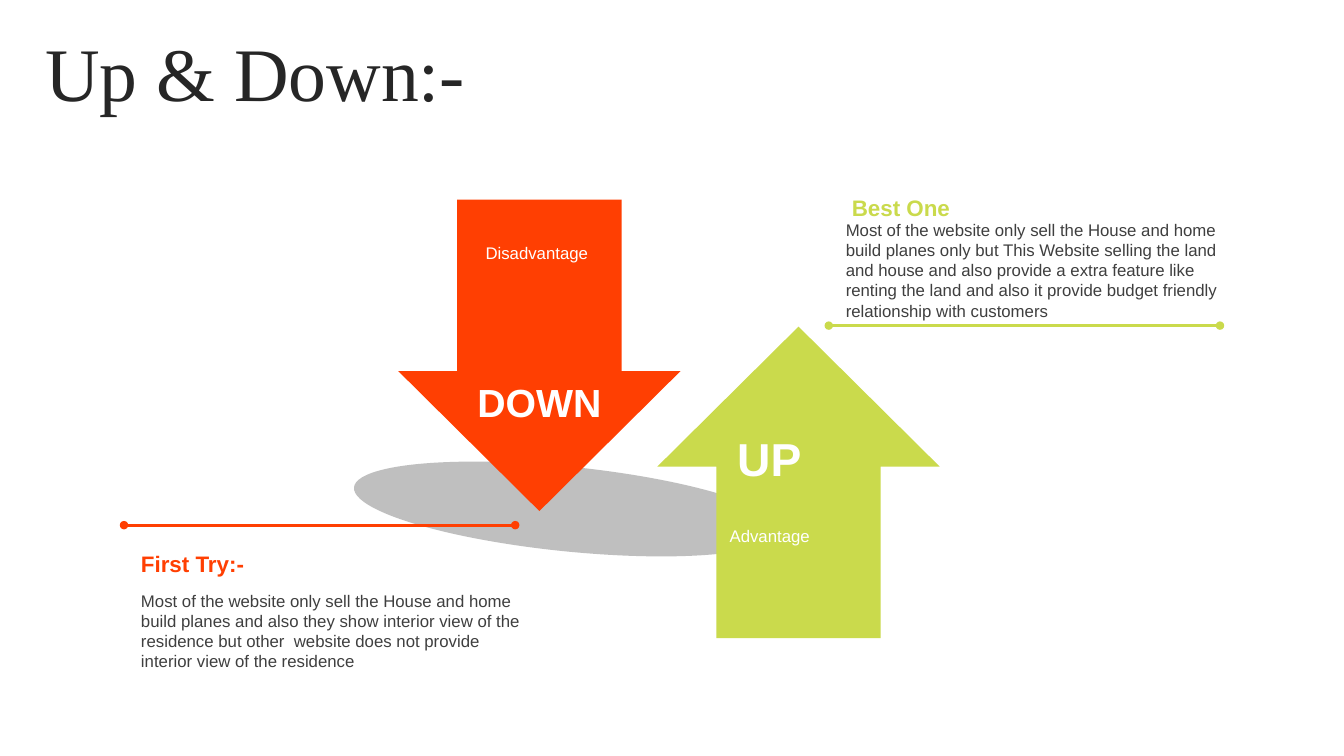
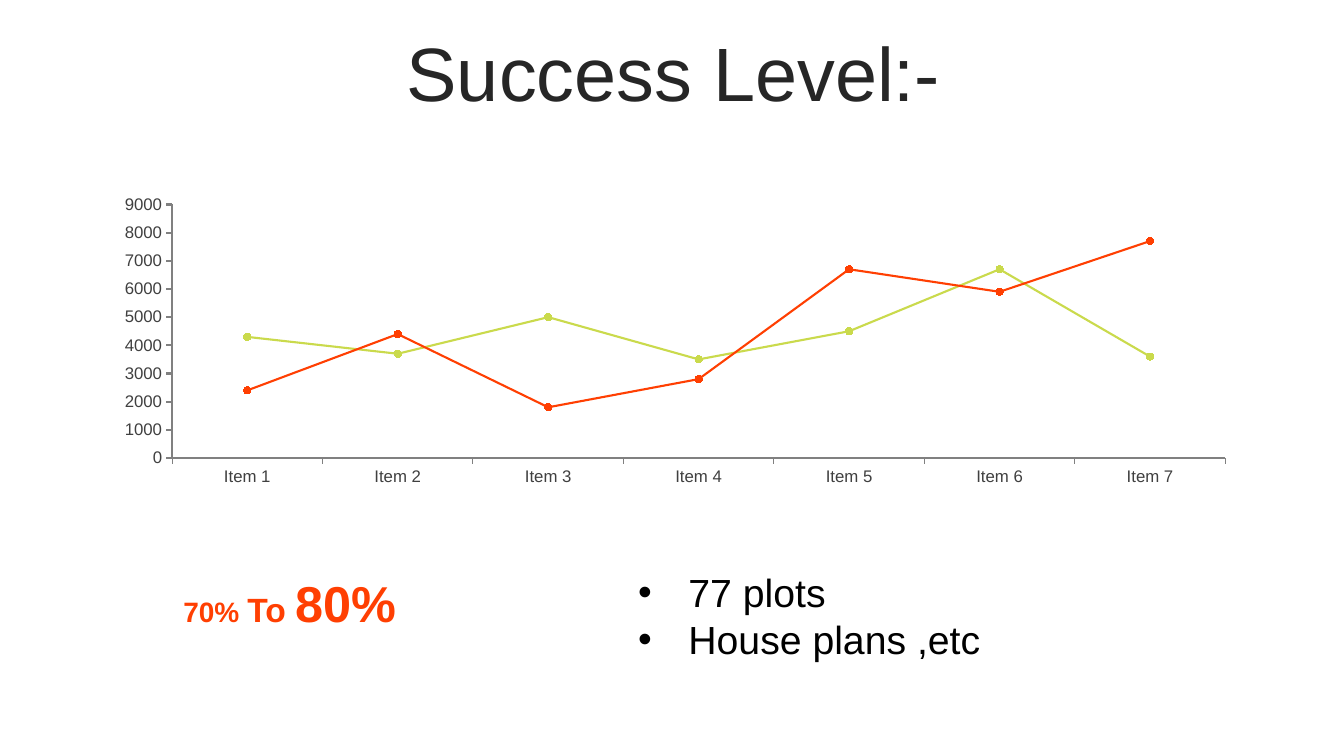
"""Build two slides: an up and down arrow comparison and a success level line chart."""
from lxml.etree import SubElement
from pptx import Presentation
from pptx.chart.data import CategoryChartData
from pptx.dml.color import RGBColor
from pptx.enum.chart import XL_CHART_TYPE, XL_MARKER_STYLE, XL_TICK_MARK
from pptx.enum.shapes import MSO_CONNECTOR, MSO_SHAPE
from pptx.enum.text import MSO_ANCHOR, PP_ALIGN
from pptx.oxml.ns import qn
from pptx.util import Inches, Pt

ORANGE, LIME, WHITE, BLACK = "FF3F02", "CADA4C", "FFFFFF", "000000"
DARK, BODY, AXIS_TEXT, AXIS_LINE, SHADE = "262626", "3F3F3F", "404040", "808080", "BFBFBF"

TITLE = {"size": 54, "color": DARK, "anchor": MSO_ANCHOR.MIDDLE, "line_spacing": 0.9}
HEADING = {"size": 16, "bold": True, "anchor": MSO_ANCHOR.MIDDLE}
LABEL = {"size": 12, "color": WHITE, "alignment": PP_ALIGN.CENTER, "margin": (0, 0)}
WORD = {**LABEL, "bold": True, "anchor": MSO_ANCHOR.MIDDLE}


def rgb(value):
    """Turn a hex string into a colour."""
    return RGBColor.from_string(value)


def add_text(slide, box, paragraphs, size, color, bold=False, font="Arial",
             anchor=MSO_ANCHOR.TOP, margin=(0.1, 0.05), **paragraph_format):
    """Add a text box; each paragraph is a string or a list of (text, size) runs."""
    frame = slide.shapes.add_textbox(*map(Inches, box)).text_frame
    across, down = map(Inches, margin)
    frame_format = {"word_wrap": True, "vertical_anchor": anchor,
                    "margin_left": across, "margin_right": across,
                    "margin_top": down, "margin_bottom": down}
    for name, value in frame_format.items():
        setattr(frame, name, value)
    for index, content in enumerate(paragraphs):
        paragraph = frame.add_paragraph() if index else frame.paragraphs[0]
        for name, value in paragraph_format.items():
            setattr(paragraph, name, value)
        runs = [(content, size)] if isinstance(content, str) else content
        for text, run_size in runs:
            run = paragraph.add_run()
            run.text = text
            run.font.color.rgb = rgb(color)
            for name, value in {"size": Pt(run_size), "name": font, "bold": bold}.items():
                setattr(run.font, name, value)
    return frame


presentation = Presentation()
presentation.slide_width, presentation.slide_height = Inches(13.33), Inches(7.5)

titles = [
    ("Up & Down:-", {"font": "Times New Roman"}),
    ("Success Level:-", {"alignment": PP_ALIGN.CENTER}),
]
slides = []
for title, title_format in titles:
    slide = presentation.slides.add_slide(presentation.slide_layouts[6])
    add_text(slide, (0.35, 0.37, 12.66, 0.79), [title], **TITLE, **title_format)
    slides.append(slide)
arrow_slide, chart_slide = slides

arrow_shapes = [
    (MSO_SHAPE.OVAL, (3.5, 4.63, 4.26, 0.84), SHADE, 5.8, ()),
    (MSO_SHAPE.UP_ARROW, (6.52, 3.24, 2.8, 3.09), LIME, 0, (0.582, 0.496)),
    (MSO_SHAPE.DOWN_ARROW, (3.95, 1.98, 2.8, 3.09), ORANGE, 0, (0.582, 0.496)),
]
for kind, box, color, rotation, adjustments in arrow_shapes:
    shape = arrow_slide.shapes.add_shape(kind, *map(Inches, box))
    shape.rotation = rotation
    shape.shadow.inherit = False
    shape.fill.solid()
    shape.fill.fore_color.rgb = rgb(color)
    shape.line.fill.background()
    for index, value in enumerate(adjustments):
        shape.adjustments[index] = value

arrow_texts = [
    ("DOWN", (4.55, 3.74, 1.6, 0.5), {**WORD, "size": 28}),
    ("UP", (7.13, 4.26, 1, 0.56), {**WORD, "size": 33}),
    ("Disadvantage", (4.79, 2.41, 1.07, 0.2), LABEL),
    ("Advantage", (7.1, 5.22, 1.07, 0.2), LABEL),
]
for text, box, text_format in arrow_texts:
    add_text(arrow_slide, box, [text], **text_format)

notes = [
    (LIME, (8.22, 3.23), "Best One", (8.35, 1.87), (8.29, 2.13), 1.11,
     "Most of the website only sell the House and home build planes only but This Website "
     "selling the land and house and also provide a extra feature like renting the land and "
     "also it provide budget friendly relationship with customers"),
    (ORANGE, (1.23, 5.21), "First Try:-", (1.3, 5.41), (1.3, 5.81), 0.91,
     "Most of the website only sell the House and home build planes and also they show "
     "interior view of the residence but other  website does not provide interior view of "
     "the residence"),
]
for color, (left, top), heading, heading_at, body_at, body_height, body in notes:
    rule = arrow_slide.shapes.add_connector(
        MSO_CONNECTOR.STRAIGHT, Inches(left), Inches(top), Inches(left + 3.88), Inches(top))
    rule.line.color.rgb = rgb(color)
    rule.line.width = Pt(2)
    line_element = rule.line._get_or_add_ln()
    for end in ("a:headEnd", "a:tailEnd"):
        SubElement(line_element, qn(end), type="oval")
    SubElement(rule._element.spPr, qn("a:effectLst"))
    add_text(arrow_slide, (*heading_at, 4.02, 0.37), [heading], color=color, **HEADING)
    add_text(arrow_slide, (*body_at, 4.02, body_height), [body], 12, BODY)

chart_data = CategoryChartData()
chart_data.categories = [f"Item {number}" for number in range(1, 8)]
series_values = [
    ("Series 1", LIME, (4300, 3700, 5000, 3500, 4500, 6700, 3600)),
    ("Series 2", ORANGE, (2400, 4400, 1800, 2800, 6700, 5900, 7700)),
]
for name, color, values in series_values:
    chart_data.add_series(name, values)
chart = chart_slide.shapes.add_chart(
    XL_CHART_TYPE.LINE_MARKERS, *map(Inches, (1.01, 1.88, 11.37, 3)), chart_data).chart
chart.has_legend = chart.has_title = False
chart.font.name = "Arial"
chart.font.size = Pt(18)
chart.plots[0].vary_by_categories = False

for series, (name, color, values) in zip(chart.plots[0].series, series_values):
    series.smooth = False
    series.format.line.color.rgb = rgb(color)
    series.format.line.width = Pt(1.5)
    series.marker.style = XL_MARKER_STYLE.CIRCLE
    series.marker.size = 5
    series.marker.format.fill.solid()
    series.marker.format.fill.fore_color.rgb = rgb(color)
    series.marker.format.line.color.rgb = rgb(color)

for axis, width in ((chart.category_axis, 0.75), (chart.value_axis, 1.5)):
    axis.has_major_gridlines = False
    axis.major_tick_mark = XL_TICK_MARK.OUTSIDE
    axis.minor_tick_mark = XL_TICK_MARK.NONE
    axis.format.line.color.rgb = rgb(AXIS_LINE)
    axis.format.line.width = Pt(width)
    axis.tick_labels.font.size = Pt(12)
    axis.tick_labels.font.color.rgb = rgb(AXIS_TEXT)
scale = {"minimum_scale": 0, "maximum_scale": 9000, "major_unit": 1000}
for name, value in scale.items():
    setattr(chart.value_axis, name, value)

add_text(chart_slide, (1.72, 5.62, 3.47, 0.71), [[("70% ", 20), ("To ", 24), ("80%", 36)]],
         36, ORANGE, bold=True, anchor=MSO_ANCHOR.MIDDLE)
site_list = add_text(chart_slide, (6.23, 5.59, 4.37, 1.02),
                     ["77 plots", "House plans ,etc"], 28, BLACK)
for paragraph in site_list.paragraphs:
    properties = paragraph._p.get_or_add_pPr()
    properties.set("marL", str(Inches(0.5)))
    properties.set("indent", str(-Inches(0.5)))
    SubElement(properties, qn("a:buFont"), typeface="Arial")
    SubElement(properties, qn("a:buChar"), char="•")

presentation.save("out.pptx")
